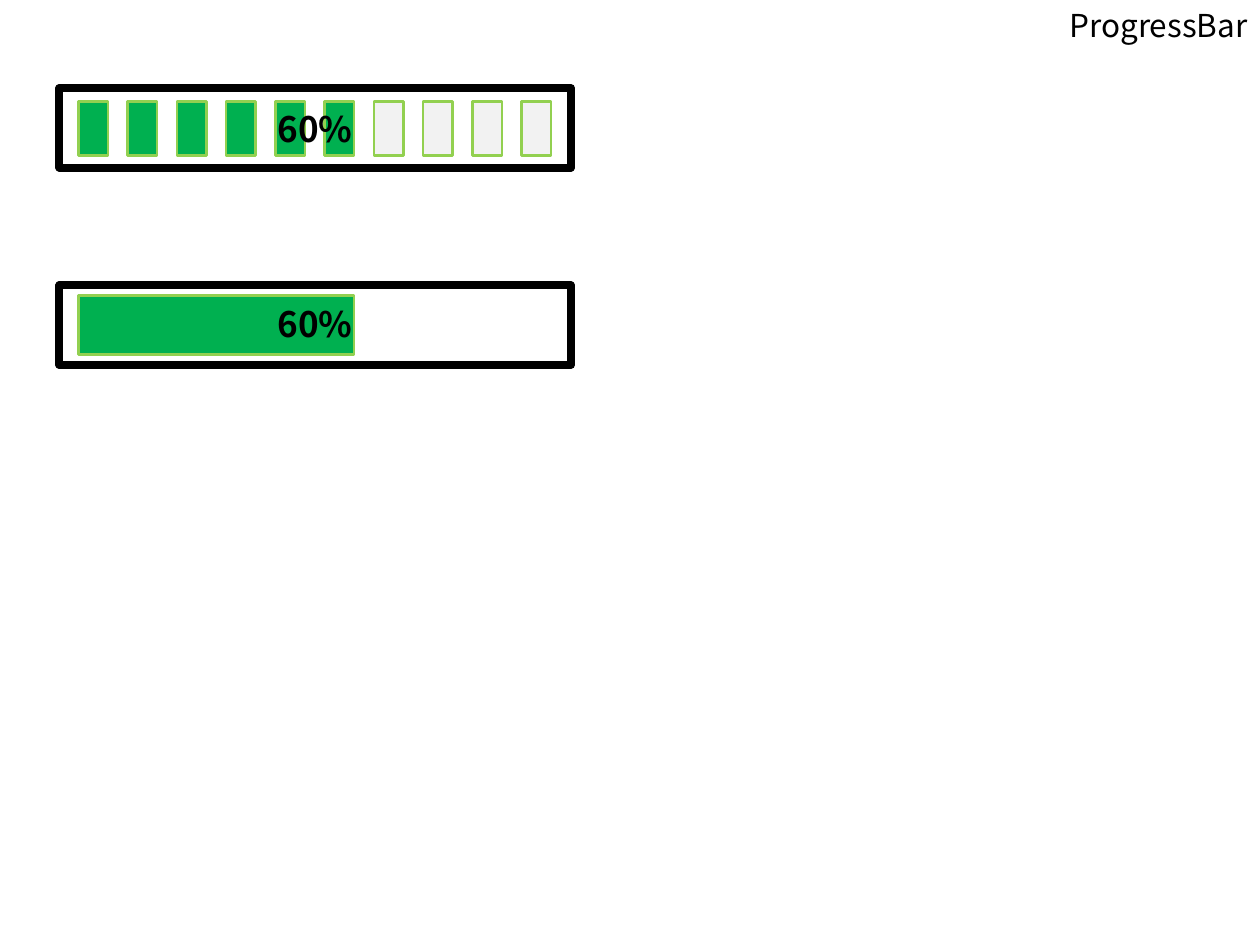
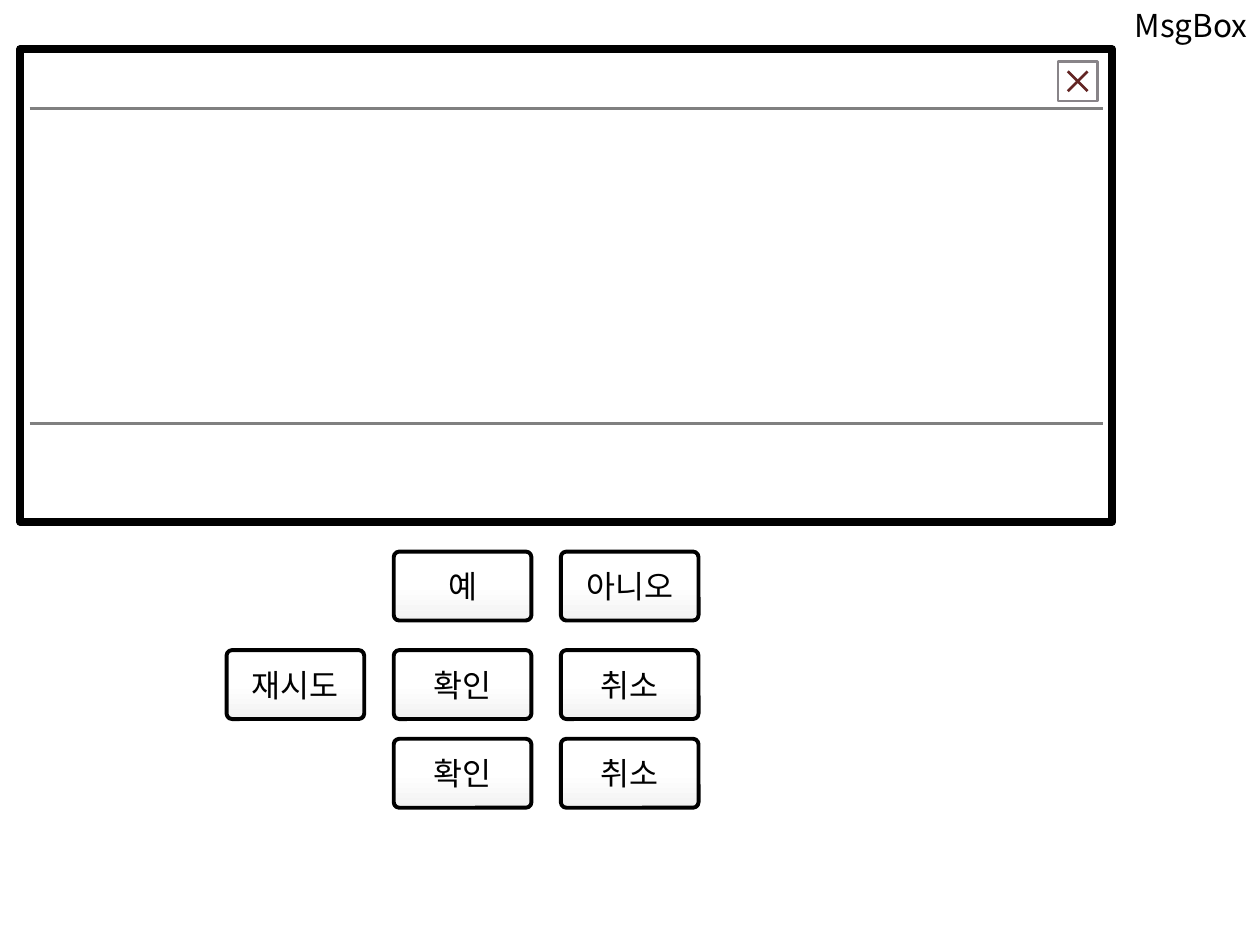
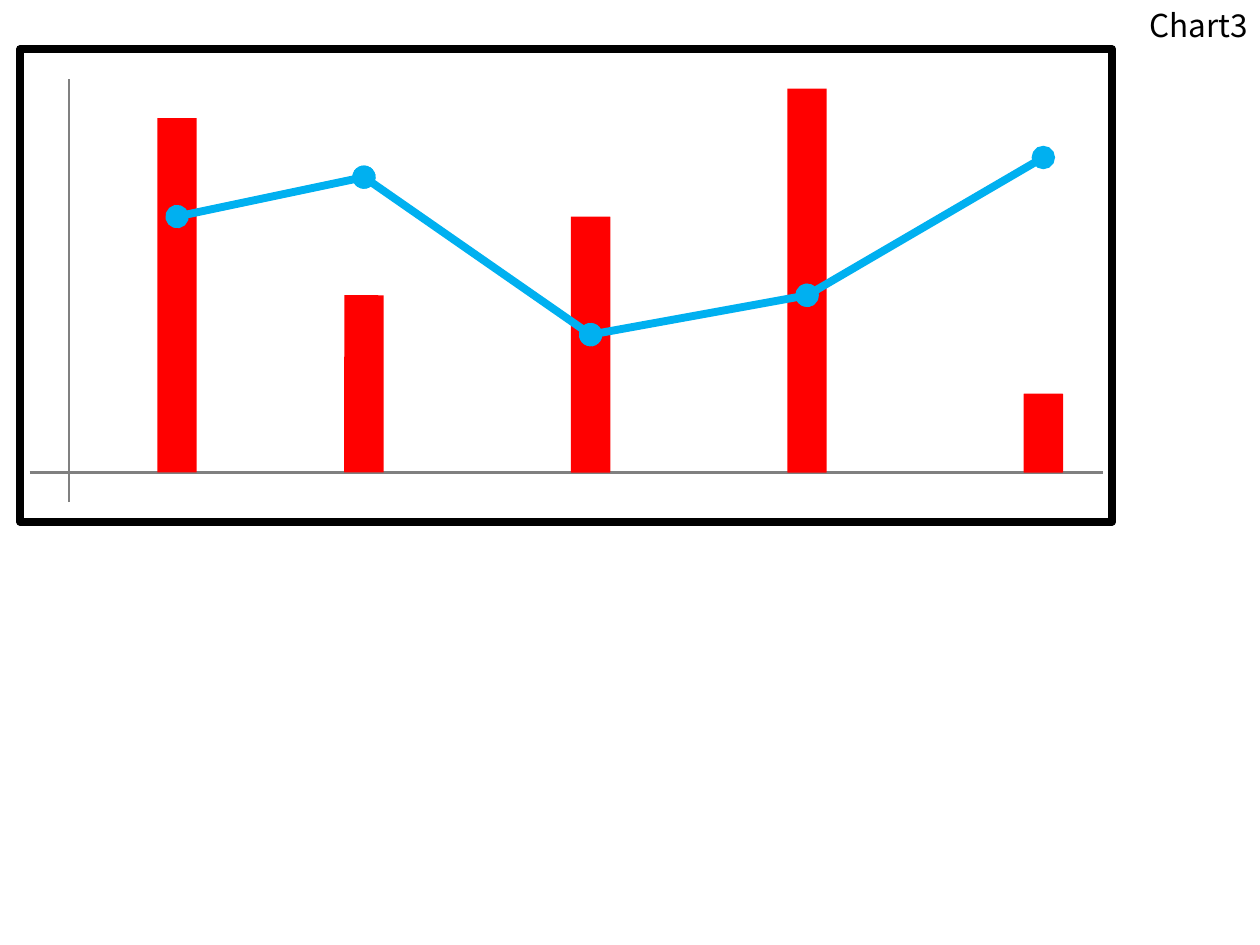
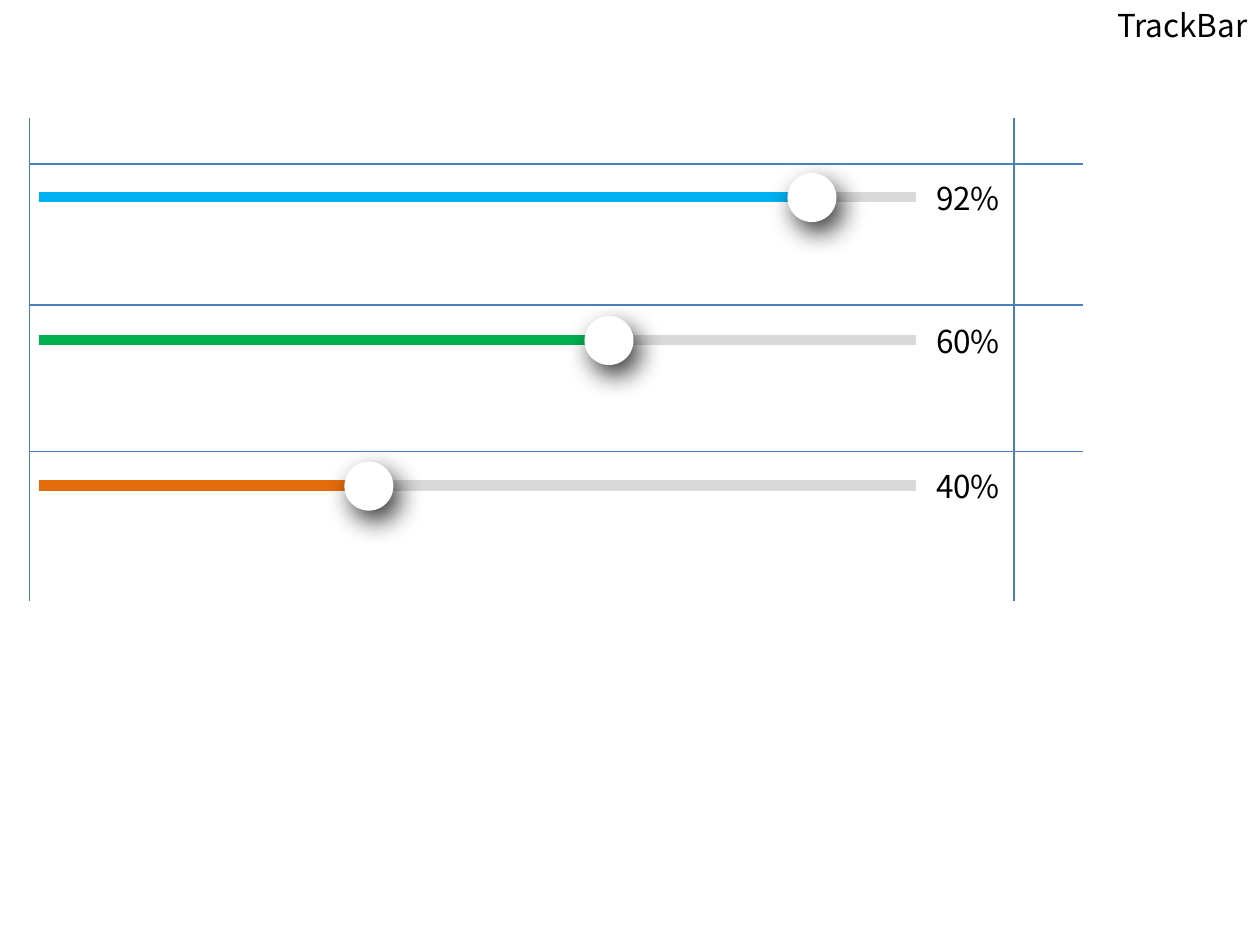
"""Build four slides of interface controls: progress bar, message box, chart and track bar."""
from itertools import pairwise
from lxml.etree import SubElement
from pptx import Presentation
from pptx.dml.color import RGBColor
from pptx.enum.shapes import MSO_CONNECTOR, MSO_SHAPE
from pptx.enum.text import MSO_ANCHOR, MSO_AUTO_SIZE, PP_ALIGN
from pptx.oxml.ns import qn
from pptx.util import Pt

BLACK = RGBColor(0x00, 0x00, 0x00)
WHITE = RGBColor(0xFF, 0xFF, 0xFF)
PALE = RGBColor(0xF2, 0xF2, 0xF2)
SILVER = RGBColor(0xD9, 0xD9, 0xD9)
GRAY = RGBColor(0x80, 0x80, 0x80)
CLOSE_EDGE = RGBColor(0x88, 0x84, 0x88)
CLOSE_CROSS = RGBColor(0x63, 0x25, 0x23)
GREEN = RGBColor(0x00, 0xB0, 0x50)
LIME = RGBColor(0x92, 0xD0, 0x50)
RED = RGBColor(0xFF, 0x00, 0x00)
SKY = RGBColor(0x00, 0xB0, 0xF0)
ORANGE = RGBColor(0xE4, 0x6C, 0x0A)
GUIDE_BLUE = RGBColor(0x4B, 0x7E, 0xBC)
FONT = "Noto Sans CJK KR"
ROUNDED = MSO_SHAPE.ROUNDED_RECTANGLE


def add_box(page, kind, frame, fill=None, edge=None, weight=0, corner=0,
            text="", size=18, bold=False, align=PP_ALIGN.CENTER):
    lengths = [Pt(length) for length in frame]
    if kind is None:
        box = page.shapes.add_textbox(*lengths)
        box.text_frame.word_wrap = True
        box.text_frame.auto_size = MSO_AUTO_SIZE.SHAPE_TO_FIT_TEXT
    else:
        box = page.shapes.add_shape(kind, *lengths)
        box.shadow.inherit = False
        box.text_frame.vertical_anchor = MSO_ANCHOR.MIDDLE
        if kind == ROUNDED:
            box.adjustments[0] = corner
        if fill is None:
            box.fill.background()
        else:
            box.fill.solid()
            box.fill.fore_color.rgb = fill
        if edge is None:
            box.line.fill.background()
        else:
            box.line.color.rgb = edge
            box.line.width = Pt(weight)
    if text:
        box.text_frame.text = text
        para = box.text_frame.paragraphs[0]
        para.alignment = align
        font = para.runs[0].font
        font.name, font.size, font.bold = FONT, Pt(size), bold
        font.color.rgb = BLACK
        SubElement(para.runs[0]._r.rPr, qn("a:ea"), typeface=FONT)
    return box


def add_line(page, start, end, color, weight, dotted=False):
    line = page.shapes.add_connector(
        MSO_CONNECTOR.STRAIGHT, *[Pt(length) for length in (*start, *end)])
    line.line.color.rgb = color
    line.line.width = Pt(weight)
    if dotted:
        for tag in ("a:headEnd", "a:tailEnd"):
            SubElement(line.line._get_or_add_ln(), qn(tag), type="oval")
    SubElement(line._element.spPr, qn("a:effectLst"))


deck = Presentation()
deck.slide_width, deck.slide_height = Pt(720), Pt(540)
pages = []
for title in ("ProgressBar", "MsgBox", "Chart3", "TrackBar"):
    page = deck.slides.add_slide(deck.slide_layouts[6])
    add_box(page, None, (574, 0, 146, 29), text=title, align=PP_ALIGN.RIGHT)
    pages.append(page)
progress_page, message_page, chart_page, track_page = pages

for top in (50.4, 163.1):
    add_box(progress_page, ROUNDED, (34, top, 292.3, 45.4), edge=BLACK, weight=4.5)
for step in range(10):
    add_box(progress_page, ROUNDED, (44.8 + step * 28.14, 58, 16.9, 31),
            GREEN if step < 6 else PALE, LIME, 1.5)
add_box(progress_page, ROUNDED, (44.8, 168.8, 157.6, 33.8), GREEN, LIME, 1.5)
for top in (57.6, 169.2):
    add_box(progress_page, None, (34, top, 292.3, 31.5), text="60%", size=20, bold=True)

for page in (message_page, chart_page):
    add_box(page, ROUNDED, (11.5, 28.1, 624, 270), edge=BLACK, weight=4.5)

for y in (61.9, 241.9):
    add_line(message_page, (16.9, y), (630, y), GRAY, 1.5)
add_box(message_page, MSO_SHAPE.RECTANGLE, (604.6, 35.2, 22.5, 22.5), WHITE, CLOSE_EDGE, 1.5)
for left_y, right_y in ((40.8, 52.1), (52.1, 40.8)):
    add_line(message_page, (610.2, left_y), (621.5, right_y), CLOSE_CROSS, 1.5)
button_rows = (
    (315.2, ("", "예", "아니오")),
    (371.5, ("재시도", "확인", "취소")),
    (422.2, ("", "확인", "취소")),
)
for top, labels in button_rows:
    for column, label in enumerate(labels):
        if label:
            button = add_box(message_page, ROUNDED, (129.5 + column * 95.5, top, 78.7, 39.4),
                             WHITE, BLACK, 2.25, 0.08, label)
            button.fill.gradient()
            button.fill.gradient_angle = 90
            for stop, color, position in zip(button.fill.gradient_stops, (PALE, WHITE), (0, 0.51)):
                stop.color.rgb = color
                stop.position = position

floor, unit = 270, 45 / 8
centers = (101.2, 208, 337.5, 461.2, 596.2)
bar_units = (36, 18, 26, 39, 8)
point_units = (26, 30, 14, 18, 32)
add_line(chart_page, (16.9, floor), (630, floor), GRAY, 1.5)
add_line(chart_page, (39.4, 287), (39.4, 45), GRAY, 1.5)
for center, units in zip(centers, bar_units):
    add_box(chart_page, ROUNDED,
            (center - 11.25, floor - units * unit, 22.5, units * unit), RED, corner=0.01)
points = [(center, floor - units * unit) for center, units in zip(centers, point_units)]
for start, end in pairwise(points):
    add_line(chart_page, start, end, SKY, 4.5, dotted=True)

tracks = (
    (112.5, 464, SKY, "92%"),
    (194.2, 348, GREEN, "60%"),
    (277.4, 210.8, ORANGE, "40%"),
)
for y, knob_x, color, label in tracks:
    add_line(track_page, (22.5, y), (523.4, y), color, 6)
    add_line(track_page, (knob_x, y), (523.4, y), SILVER, 6)
    knob = add_box(track_page, MSO_SHAPE.OVAL, (knob_x - 14, y - 13.6, 28, 28), WHITE)
    effects = knob._element.spPr.find(qn("a:effectLst"))
    shadow = SubElement(effects, qn("a:outerShdw"), blurRad=str(Pt(15)), dist=str(Pt(7)),
                        dir=str(58 * 60000), algn="ctr", rotWithShape="0")
    shade = SubElement(shadow, qn("a:srgbClr"), val=str(BLACK))
    SubElement(shade, qn("a:alpha"), val="79000")
    add_box(track_page, None, (527.8, y - 14, 84, 29), text=label, align=PP_ALIGN.LEFT)
for y in (93.7, 174.3, 258.2):
    add_line(track_page, (16.9, y), (618.7, y), GUIDE_BLUE, 0.75)
for x in (16.9, 579.4):
    add_line(track_page, (x, 67.5), (x, 343.2), GUIDE_BLUE, 0.75)

deck.save("out.pptx")
